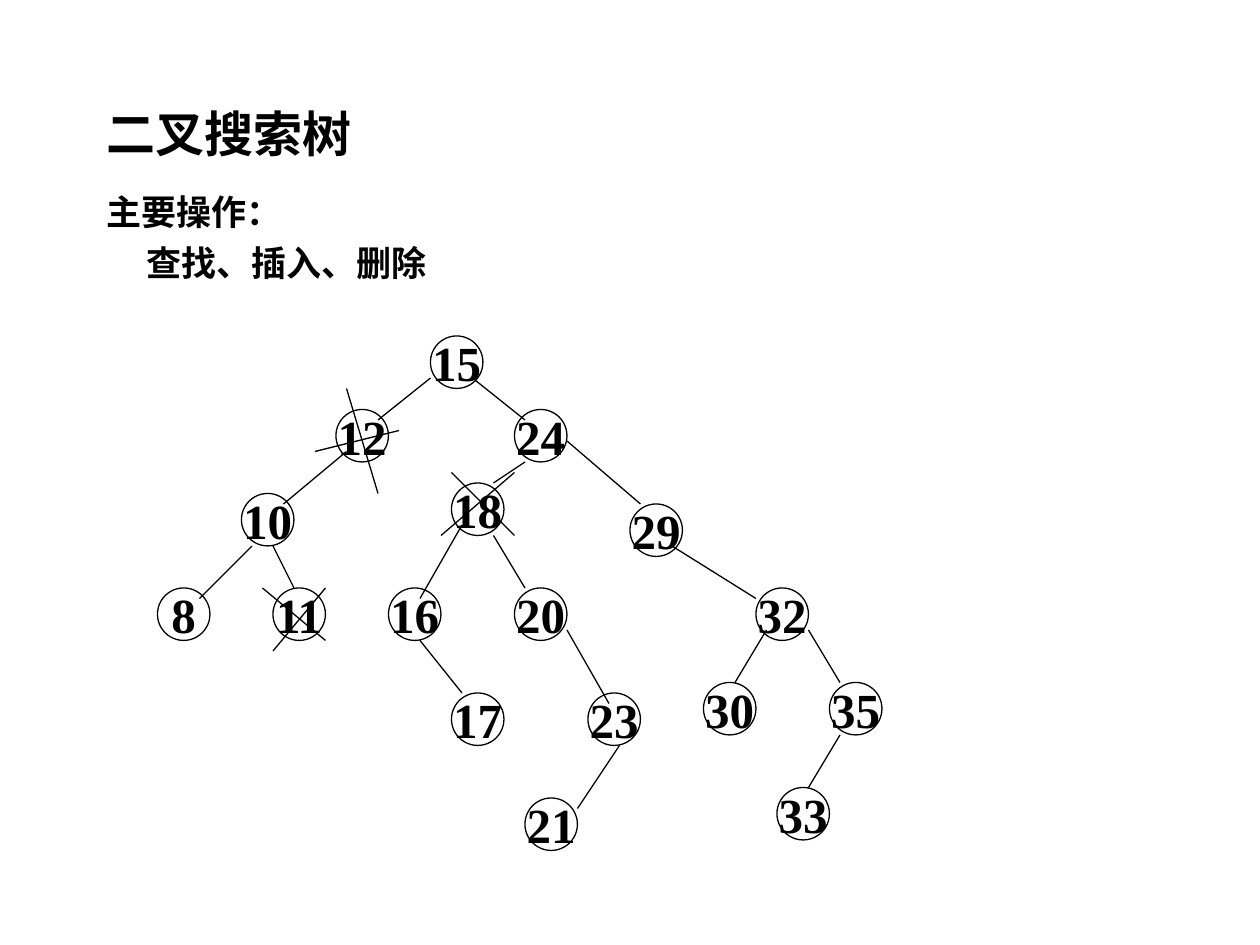
from pptx import Presentation
from pptx.dml.color import RGBColor
from pptx.enum.shapes import MSO_CONNECTOR as CONN, MSO_SHAPE as SHAPE
from pptx.enum.text import MSO_ANCHOR as ANCHOR, PP_ALIGN as ALIGN
from pptx.oxml.ns import qn
from pptx.util import Cm, Pt
from lxml.etree import SubElement

BLACK = RGBColor(0, 0, 0)
GRID = 2.54 / 12
NODE_SIZE = 5

NODES = {
    15: (26, 0), 12: (17, 7), 24: (34, 7), 10: (8, 15), 8: (0, 24),
    11: (11, 24), 18: (28, 14), 16: (22, 24), 17: (28, 34), 20: (34, 24),
    29: (45, 16), 23: (41, 34), 21: (35, 44), 32: (57, 24), 30: (52, 33),
    35: (64, 33), 33: (59, 43),
}
EDGES = [
    (26, 4, 21, 8), (18, 11, 12, 16), (9, 20, 4, 25), (11, 20, 13, 24),
    (30, 4, 35, 8), (35, 12, 32, 14), (29, 18, 25, 25), (25, 29, 29, 34),
    (39, 10, 46, 16), (49, 20, 57, 25), (62, 28, 65, 33), (32, 19, 35, 24),
    (39, 28, 43, 35), (44, 39, 40, 45), (58, 28, 55, 33), (65, 38, 62, 43),
]
DELETION_MARKS = [
    (16, 24, 11, 30), (10, 24, 16, 29), (23, 9, 15, 11),
    (18, 5, 21, 15), (34, 13, 27, 19), (28, 13, 34, 19),
]


def add_run(p, text, size, font):
    r = p.add_run()
    r.text = text
    r.font.size = Pt(size)
    r.font.name = font
    r.font.bold = True
    r.font.color.rgb = BLACK


def add_text(s, box, lines, size, anchor=ANCHOR.TOP):
    tf = s.shapes.add_textbox(*(Cm(v) for v in box)).text_frame
    tf.word_wrap = True
    tf.vertical_anchor = anchor
    for i, (text, indent) in enumerate(lines):
        p = tf.add_paragraph() if i else tf.paragraphs[0]
        p.line_spacing = 0.9
        if i:
            p.space_before = Pt(7.5)
        if indent:
            p._p.get_or_add_pPr().set("marL", str(Cm(indent)))
        add_run(p, text, size, "Calibri")


def add_node(s, left, top, value):
    size = Cm(NODE_SIZE * GRID)
    sp = s.shapes.add_shape(SHAPE.OVAL, Cm(left), Cm(top), size, size)
    sp.shadow.inherit = False
    sp.fill.background()
    sp.line.color.rgb = BLACK
    sp.line.width = Pt(0.75)
    tf = sp.text_frame
    tf.word_wrap = False
    tf.vertical_anchor = ANCHOR.MIDDLE
    p = tf.paragraphs[0]
    p.alignment = ALIGN.CENTER
    add_run(p, str(value), 28, "Times New Roman")


def add_line(s, x1, y1, x2, y2):
    line = s.shapes.add_connector(CONN.STRAIGHT, Cm(x1), Cm(y1), Cm(x2), Cm(y2))
    line.line.color.rgb = BLACK
    line.line.width = Pt(0.75)
    SubElement(line._element.spPr, qn("a:effectLst"))


def add_tree(s, left, top):
    for value, (x, y) in NODES.items():
        add_node(s, left + x * GRID, top + y * GRID, value)
    for x1, y1, x2, y2 in EDGES + DELETION_MARKS:
        add_line(s, left + x1 * GRID, top + y1 * GRID,
                 left + x2 * GRID, top + y2 * GRID)


def main():
    prs = Presentation()
    prs.slide_width, prs.slide_height = Cm(25.4), Cm(19.05)
    s = prs.slides.add_slide(prs.slide_layouts[6])
    add_text(s, (1.9, 1.7, 21.6, 2.1), [("二叉搜索树", 0)], 28, ANCHOR.MIDDLE)
    add_text(s, (1.9, 3.81, 21.6, 14.8),
             [("主要操作：", 0), ("查找、插入、删除", 0.8)], 20)
    add_tree(s, 15 * GRID, 32 * GRID)
    prs.save("out.pptx")


if __name__ == "__main__":
    main()
